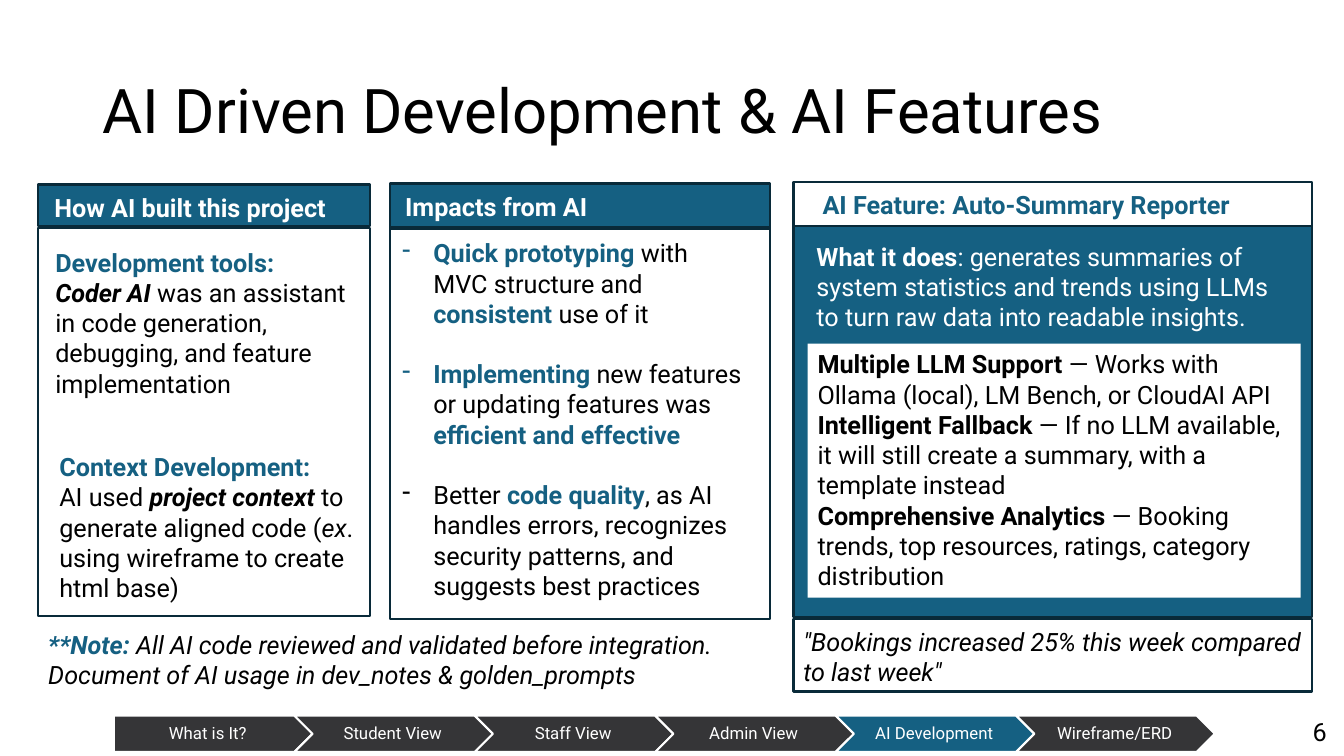
from lxml import etree
from pptx import Presentation
from pptx.dml.color import RGBColor
from pptx.enum.shapes import MSO_SHAPE
from pptx.enum.text import MSO_ANCHOR, PP_ALIGN
from pptx.oxml.ns import qn
from pptx.util import Inches, Pt

RECTANGLE, PENTAGON, CHEVRON = MSO_SHAPE.RECTANGLE, MSO_SHAPE.PENTAGON, MSO_SHAPE.CHEVRON
TOP, MIDDLE = MSO_ANCHOR.TOP, MSO_ANCHOR.MIDDLE
LEFT, CENTER = PP_ALIGN.LEFT, PP_ALIGN.CENTER

TEAL = RGBColor(0x15, 0x60, 0x82)
NAVY = RGBColor(0x09, 0x2A, 0x39)
CHARCOAL = RGBColor(0x35, 0x35, 0x37)
WHITE = RGBColor(0xFF, 0xFF, 0xFF)
BLACK = RGBColor(0, 0, 0)
FONT = "Roboto"

# Panels: left, top, width, height, fill (back to front)
PANELS = [
    (0.38, 1.83, 3.29, 0.41, TEAL),
    (0.38, 2.26, 3.29, 3.85, None),
    (3.87, 1.82, 3.77, 0.45, TEAL),
    (3.87, 2.25, 3.77, 3.89, None),
    (7.87, 1.81, 5.14, 0.47, None),
    (7.87, 2.24, 5.14, 3.88, TEAL),
    (7.87, 6.14, 5.14, 0.72, None),
]

# Texts: place, then paragraphs of (words, style) spans
# Style letters: b bold, i italic, t teal, w white
TITLE = [[("AI Driven Development & AI Features", "")]]
TEXTS = [
    ((0.44, 1.86, 3.3, 0.4), [[("How AI built this project", "bw")]]),
    ((0.45, 2.4, 3.29, 1.62), [
        [("Development tools:", "bt")],
        [("Coder AI ", "bi"),
         ("was an assistant in code generation, debugging, and feature implementation", "")],
    ]),
    ((0.49, 4.43, 3.4, 1.62), [
        [("Context Development:", "bt")],
        [("AI used ", ""), ("project context ", "bi"), ("to generate aligned code (", ""),
         ("ex", "i"), (". using wireframe to create html base)", "")],
    ]),
    ((3.92, 1.85, 3.3, 0.4), [[("Impacts from AI", "bw")]]),
    ((0.38, 6.19, 7.08, 0.71), [
        [("**Note: ", "bit"),
         ("All AI code reviewed and validated before integration.", "i")],
        [("Document of AI usage in dev_notes & golden_prompts", "i")],
    ]),
    ((8.06, 1.83, 4.36, 0.4), [[("AI Feature: Auto-Summary Reporter", "bt")]]),
    ((8, 2.34, 4.84, 1.01), [
        [("What it does", "bw"),
         (": generates summaries of system statistics and trends using LLMs "
          "to turn raw data into readable insights.", "w")],
    ]),
    ((7.87, 6.16, 5.37, 0.71),
     [[('"Bookings increased 25% this week compared to last week"', "i")]]),
    ((12.92, 7.06, 0.42, 0.4), [[("6", "")]]),
]
IMPACTS = [
    [("Quick prototyping ", "bt"), ("with MVC structure and ", ""),
     ("consistent", "bt"), (" use of it", "")],
    [("Implementing", "bt"), (" new features or updating features was ", ""),
     ("efficient and effective", "bt")],
    [("Better ", ""), ("code quality", "bt"),
     (", as AI handles errors, recognizes security patterns, and suggests best practices", "")],
]
CAPABILITIES = [
    [("Multiple LLM Support", "b"),
     (" — Works with Ollama (local), LM Bench, or CloudAI API", "")],
    [("Intelligent Fallback", "b"),
     (" — If no LLM available, it will still create a summary, with a template instead", "")],
    [("Comprehensive Analytics", "b"),
     (" — Booking trends, top resources, ratings, category distribution", "")],
]

# Navigation strip
STEPS = ["What is It?", "Student View", "Staff View", "Admin View",
         "AI Development", "Wireframe/ERD"]
CURRENT_STEP = "AI Development"
STEP_LEFT, STEP_TOP, STEP_PITCH = 1.13, 7.1, 1.79
STEP_WIDTH, STEP_HEIGHT = 1.97, 0.36

deck = Presentation()
deck.slide_width, deck.slide_height = Inches(13.33), Inches(7.5)
page = deck.slides.add_slide(deck.slide_layouts[6])


def write(shape, paragraphs, size=18, anchor=TOP, align=LEFT, spacing=None):
    frame = shape.text_frame
    frame.word_wrap = True
    frame.vertical_anchor = anchor
    for index, spans in enumerate(paragraphs):
        para = frame.add_paragraph() if index else frame.paragraphs[0]
        para.alignment = align
        if spacing:
            para.line_spacing = spacing
        for words, style in spans:
            span = para.add_run()
            span.text = words
            font = span.font
            font.name, font.size = FONT, Pt(size)
            font.bold, font.italic = "b" in style, "i" in style
            font.color.rgb = TEAL if "t" in style else WHITE if "w" in style else BLACK
    return frame


def add_text(place, paragraphs, **options):
    box = page.shapes.add_textbox(*map(Inches, place))
    return write(box, paragraphs, **options)


def add_block(kind, place, fill, line):
    block = page.shapes.add_shape(kind, *map(Inches, place))
    block.shadow.inherit = False
    if fill is None:
        block.fill.background()
    else:
        block.fill.solid()
        block.fill.fore_color.rgb = fill
    if line is None:
        block.line.fill.background()
    else:
        block.line.color.rgb = line
        block.line.width = Pt(1.5)
    return block


# Title and panels
add_text((0.92, 0.4, 11.5, 1.45), TITLE, size=44, anchor=MIDDLE, spacing=0.9)
for *place, fill in PANELS:
    add_block(RECTANGLE, place, fill, NAVY)
for place, paragraphs in TEXTS:
    add_text(place, paragraphs)

# Dashed list of impacts, one line apart
impacts = add_text((3.89, 2.31, 3.57, 3.74), IMPACTS)
for index, para in enumerate(impacts.paragraphs):
    if index:
        para.space_before = Pt(21.5)
    properties = para._p.get_or_add_pPr()
    properties.set("marL", str(Inches(0.31)))
    properties.set("indent", str(-Inches(0.31)))
    etree.SubElement(properties, qn("a:buChar")).set("char", "-")

# White card of capabilities
card = add_block(RECTANGLE, (8.01, 3.41, 4.89, 2.52), WHITE, None)
write(card, CAPABILITIES)

# Navigation strip
for index, step in enumerate(STEPS):
    place = (STEP_LEFT + index * STEP_PITCH, STEP_TOP, STEP_WIDTH, STEP_HEIGHT)
    arrow = add_block(CHEVRON if index else PENTAGON, place,
                      TEAL if step == CURRENT_STEP else CHARCOAL, WHITE)
    label = write(arrow, [[(step, "w")]], size=12, anchor=MIDDLE, align=CENTER, spacing=0.9)
    label.margin_left, label.margin_right = Inches(0.08), Inches(0.1)
    label.margin_top = label.margin_bottom = Inches(0.04)

deck.save("out.pptx")
